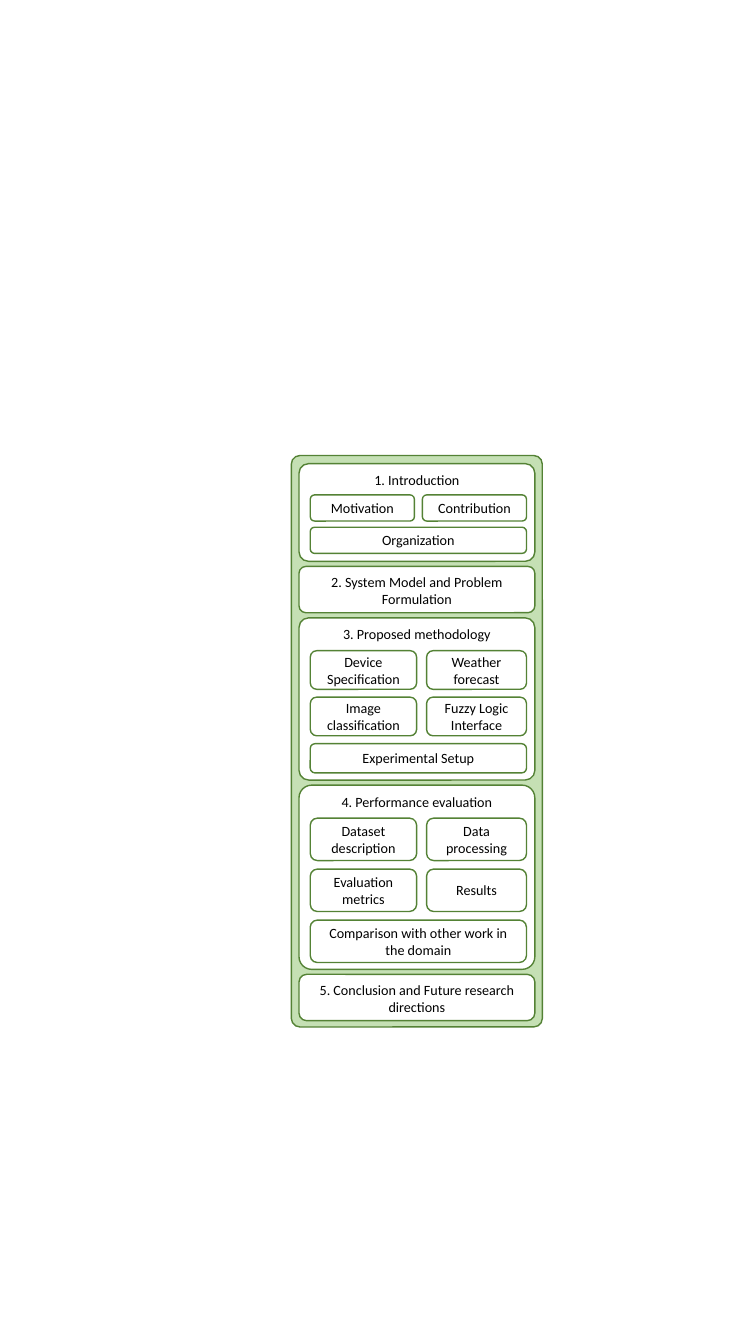
from dataclasses import dataclass

from pptx import Presentation
from pptx.dml.color import RGBColor
from pptx.enum import shapes, text
from pptx.util import Pt


@dataclass(frozen=True)
class Theme:
    panel: RGBColor = RGBColor(0xC5, 0xE0, 0xB4)
    paper: RGBColor = RGBColor(0xFF, 0xFF, 0xFF)
    outline: RGBColor = RGBColor(0x54, 0x82, 0x35)
    ink: RGBColor = RGBColor(0, 0, 0)
    font: str = "Calibri"
    size: float = 10.1
    line: float = 1


@dataclass(frozen=True)
class Area:
    left: float
    top: float
    width: float
    height: float


@dataclass(frozen=True)
class Row:
    height: float
    labels: tuple[str, ...]


@dataclass(frozen=True)
class Section:
    title: str
    height: float
    rounding: float
    rows: tuple[Row, ...] = ()
    row_offset: float = 0
    row_gap: float = 0
    first_width: float = 0
    column_gap: float = 0


THEME = Theme()
PANEL = Area(208.1, 325.4, 179.3, 408.2)
SECTION_LEFT, SECTION_WIDTH = 213.6, 168.5
SECTION_TOP, SECTION_GAP = 331.2, 3.6
ROW_LEFT, ROW_WIDTH = 221.6, 154.5
DEFAULT_ROUNDING = 0.1667

SECTIONS = (
    Section("1. Introduction", 69.8, 0.098, (
        Row(18.7, ("Motivation", "Contribution")),
        Row(18.7, ("Organization",)),
    ), row_offset=22.3, row_gap=4.4, first_width=74.4, column_gap=5.7),
    Section("2. System Model and Problem Formulation", 33.1, 0.15),
    Section("3. Proposed methodology", 115.9, 0.06, (
        Row(27.6, ("Device Specification", "Weather forecast")),
        Row(27.6, ("Image classification", "Fuzzy Logic Interface")),
        Row(20.9, ("Experimental Setup",)),
    ), row_offset=23.5, row_gap=5.6, first_width=76, column_gap=7.1),
    Section("4. Performance evaluation", 131.6, 0.069, (
        Row(30.3, ("Dataset description", "Data processing")),
        Row(30.3, ("Evaluation metrics", "Results")),
        Row(30.3, ("Comparison with other work in the domain",)),
    ), row_offset=23.6, row_gap=6.1, first_width=76, column_gap=7.1),
    Section("5. Conclusion and Future research directions", 33.1, DEFAULT_ROUNDING),
)


def add_box(page, area: Area, *, fill: RGBColor, rounding: float = DEFAULT_ROUNDING):
    box = page.shapes.add_shape(
        shapes.MSO_SHAPE.ROUNDED_RECTANGLE,
        Pt(area.left), Pt(area.top), Pt(area.width), Pt(area.height))
    box.adjustments[0] = rounding
    box.shadow.inherit = False
    box.fill.solid()
    box.fill.fore_color.rgb = fill
    box.line.color.rgb = THEME.outline
    box.line.width = Pt(THEME.line)
    return box


def write_text(box, words: str, *, anchor: text.MSO_ANCHOR) -> None:
    frame = box.text_frame
    frame.word_wrap = True
    frame.vertical_anchor = anchor
    para = frame.paragraphs[0]
    para.alignment = text.PP_ALIGN.CENTER
    span = para.add_run()
    span.text = words
    span.font.name = THEME.font
    span.font.size = Pt(THEME.size)
    span.font.color.rgb = THEME.ink


def draw_row(page, row: Row, section: Section, top: float) -> None:
    widths = [ROW_WIDTH]
    if len(row.labels) == 2:
        widths = [section.first_width,
                  ROW_WIDTH - section.first_width - section.column_gap]
    left = ROW_LEFT
    for label, width in zip(row.labels, widths):
        box = add_box(page, Area(left, top, width, row.height), fill=THEME.paper)
        write_text(box, label, anchor=text.MSO_ANCHOR.MIDDLE)
        left += width + section.column_gap


def draw_section(page, section: Section, top: float) -> None:
    area = Area(SECTION_LEFT, top, SECTION_WIDTH, section.height)
    box = add_box(page, area, fill=THEME.paper, rounding=section.rounding)
    write_text(box, section.title, anchor=text.MSO_ANCHOR.TOP)
    row_top = top + section.row_offset
    for row in section.rows:
        draw_row(page, row, section, row_top)
        row_top += row.height + section.row_gap


def main() -> None:
    deck = Presentation()
    deck.slide_width, deck.slide_height = Pt(540), Pt(960)
    page = deck.slides.add_slide(deck.slide_layouts[6])
    add_box(page, PANEL, fill=THEME.panel, rounding=0.034)
    top = SECTION_TOP
    for section in SECTIONS:
        draw_section(page, section, top)
        top += section.height + SECTION_GAP
    deck.save("out.pptx")


if __name__ == "__main__":
    main()
